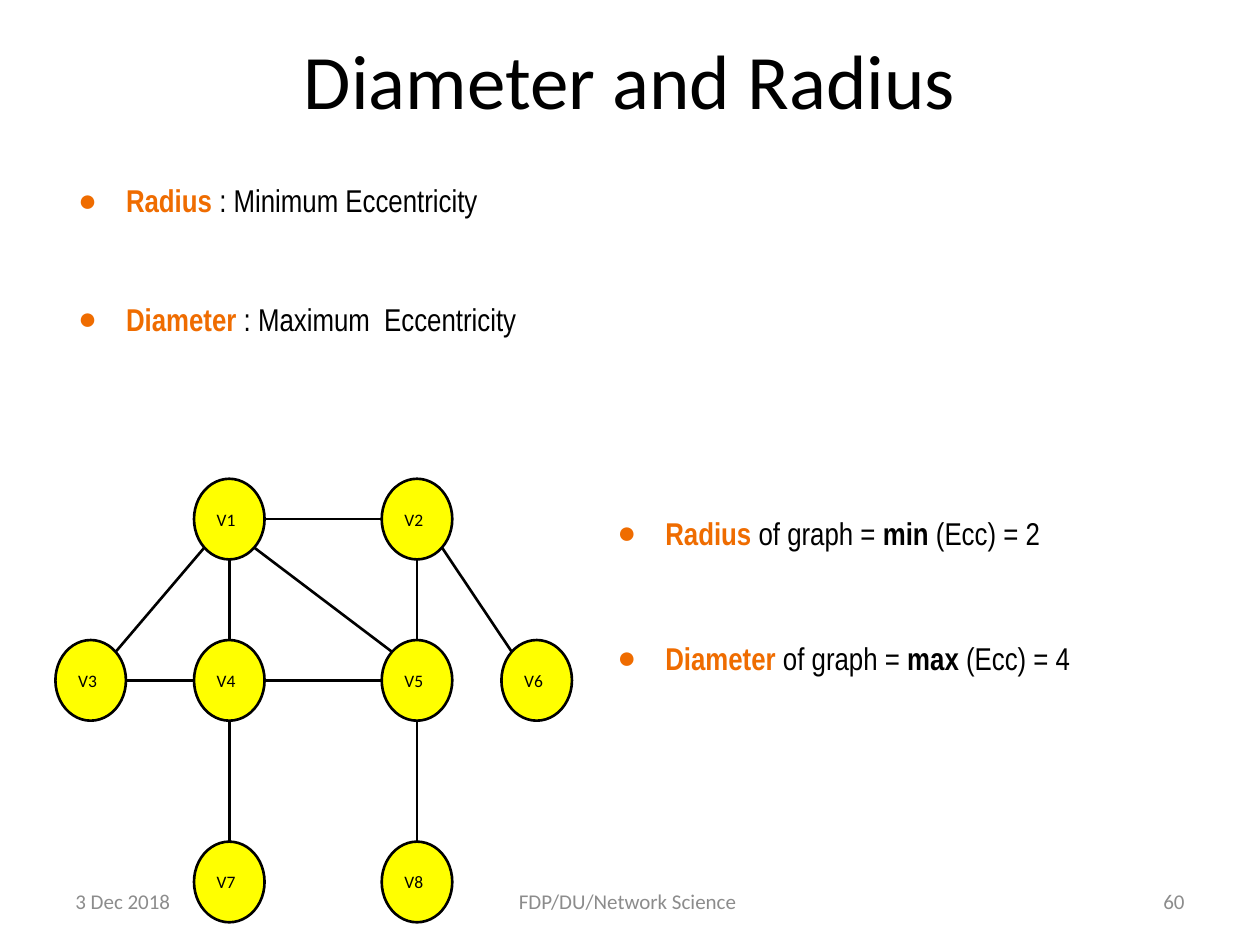
from math import sqrt

from lxml import etree
from pptx import Presentation
from pptx.dml.color import RGBColor
from pptx.enum.shapes import MSO_CONNECTOR, MSO_SHAPE
from pptx.enum.text import MSO_ANCHOR, MSO_AUTO_SIZE, PP_ALIGN
from pptx.oxml.ns import qn
from pptx.util import Inches, Pt

BLACK = RGBColor(0x00, 0x00, 0x00)
ORANGE = RGBColor(0xEF, 0x6C, 0x00)
YELLOW = RGBColor(0xFF, 0xFF, 0x00)
GRAY = RGBColor(0x8C, 0x8C, 0x8C)
LEFT, CENTER, RIGHT = PP_ALIGN.LEFT, PP_ALIGN.CENTER, PP_ALIGN.RIGHT
TOP, MIDDLE = MSO_ANCHOR.TOP, MSO_ANCHOR.MIDDLE
OVAL, STRAIGHT = MSO_SHAPE.OVAL, MSO_CONNECTOR.STRAIGHT

COMPARISON_LAYOUT = 4  # a title and four body placeholders
NODE_WIDTH, NODE_HEIGHT = 0.56, 0.64
LINE_WIDTH = Pt(1.5)

# Node positions within the graph box, in inches
COLUMNS = (0, 1.1, 2.59, 3.54)
ROWS = (0, 1.28, 2.88)
NODES = {  # name: (column, row)
    "V1": (1, 0), "V2": (2, 0),
    "V3": (0, 1), "V4": (1, 1), "V5": (2, 1), "V6": (3, 1),
    "V7": (1, 2), "V8": (2, 2),
}
EDGES = (
    ("V1", "V3"), ("V1", "V2"), ("V1", "V4"), ("V4", "V7"), ("V2", "V5"),
    ("V5", "V8"), ("V4", "V5"), ("V2", "V6"), ("V1", "V5"), ("V3", "V4"),
)

# Each statement: its box and its (text, bold, colour) runs
STATEMENTS = (
    ((0.4, 1.34, 7.5, 0.84),
     (("Radius ", True, ORANGE), (": Minimum Eccentricity", False, BLACK))),
    ((0.4, 2.28, 7.5, 0.84),
     (("Diameter ", True, ORANGE), (": Maximum  Eccentricity", False, BLACK))),
    ((4.68, 3.98, 5.24, 0.75),
     (("Radius ", True, ORANGE), ("of graph = ", False, BLACK),
      ("min ", True, BLACK), ("(Ecc) = 2", False, BLACK))),
    ((4.68, 4.97, 5.24, 0.75),
     (("Diameter", True, ORANGE), (" of graph =", False, BLACK),
      (" max ", True, BLACK), ("(Ecc) = 4", False, BLACK))),
)


def place(shape, box):
    shape.left, shape.top, shape.width, shape.height = map(Inches, box)


def write_text(shape, runs, size=18, font="Calibri", align=LEFT, anchor=MIDDLE,
               margin=0.1, vertical_margin=None):
    """Fill a shape with one paragraph of (text, bold, colour) runs."""
    frame = shape.text_frame
    frame.word_wrap = True
    frame.auto_size = MSO_AUTO_SIZE.NONE
    frame.vertical_anchor = anchor
    frame.margin_left = frame.margin_right = Inches(margin)
    vertical = margin if vertical_margin is None else vertical_margin
    frame.margin_top = frame.margin_bottom = Inches(vertical)
    paragraph = frame.paragraphs[0]
    paragraph.alignment = align
    paragraph.space_before = Pt(0)
    for text, bold, color in runs:
        run = paragraph.add_run()
        run.text = text
        run.font.name = font
        run.font.size = Pt(size)
        run.font.bold = bold
        run.font.color.rgb = color
    return paragraph


def add_bullet(paragraph, character="●", margin=0.5, indent=-0.38):
    properties = paragraph._p.get_or_add_pPr()
    properties.set("marL", str(Inches(margin)))
    properties.set("indent", str(Inches(indent)))
    bullet = etree.SubElement(properties, qn("a:buChar"))
    bullet.set("char", character)


def fill_title(title, box):
    place(title, box)
    write_text(title, [(" Diameter and Radius ", False, BLACK)], size=44,
               align=CENTER, vertical_margin=0.05)


def fill_statement(body, box, runs):
    place(body, box)
    add_bullet(write_text(body, runs, font="Arial Narrow", anchor=TOP))


def add_node(slide, name, center):
    x, y = center
    node = slide.shapes.add_shape(OVAL, 0, 0, 0, 0)
    place(node, (x - NODE_WIDTH / 2, y - NODE_HEIGHT / 2,
                 NODE_WIDTH, NODE_HEIGHT))
    node.shadow.inherit = False
    node.fill.solid()
    node.fill.fore_color.rgb = YELLOW
    node.line.color.rgb = BLACK
    node.line.width = LINE_WIDTH
    write_text(node, [(name, False, BLACK)], size=10)


def add_edge(slide, start, end):
    """Join two node centres, from rim to rim."""
    step_x = (end[0] > start[0]) - (end[0] < start[0])
    step_y = (end[1] > start[1]) - (end[1] < start[1])
    reach = 1 / sqrt(step_x ** 2 + step_y ** 2)
    offset_x = step_x * reach * NODE_WIDTH / 2
    offset_y = step_y * reach * NODE_HEIGHT / 2
    edge = slide.shapes.add_connector(
        STRAIGHT,
        Inches(start[0] + offset_x), Inches(start[1] + offset_y),
        Inches(end[0] - offset_x), Inches(end[1] - offset_y))
    edge.line.color.rgb = BLACK
    edge.line.width = LINE_WIDTH
    etree.SubElement(edge._element.spPr, qn("a:effectLst"))


def add_graph(slide, left, top):
    centers = {
        name: (left + COLUMNS[column] + NODE_WIDTH / 2,
               top + ROWS[row] + NODE_HEIGHT / 2)
        for name, (column, row) in NODES.items()
    }
    for name, center in centers.items():
        add_node(slide, name, center)
    for start, end in EDGES:
        add_edge(slide, centers[start], centers[end])


def add_footer(slide, left, top, width, height):
    side, middle = 2.33, 3.17
    parts = (
        ("3 Dec 2018", left, side, LEFT),
        ("FDP/DU/Network Science ", left + (width - middle) / 2, middle, CENTER),
        ("60", left + width - side, side, RIGHT),
    )
    for text, x, part_width, align in parts:
        box = slide.shapes.add_textbox(0, 0, 0, 0)
        place(box, (x, top, part_width, height))
        write_text(box, [(text, False, GRAY)], size=12, align=align,
                   vertical_margin=0.05)


def main():
    presentation = Presentation()
    presentation.slide_width = Inches(10)
    presentation.slide_height = Inches(7.5)
    layout = presentation.slide_layouts[COMPARISON_LAYOUT]
    slide = presentation.slides.add_slide(layout)

    # Title and statements
    title, *bodies = slide.placeholders
    fill_title(title, (0.5, 0, 9, 1.25))
    for body, (box, runs) in zip(bodies, STATEMENTS):
        fill_statement(body, box, runs)

    # Graph and footer
    add_graph(slide, 0.44, 3.8)
    add_footer(slide, 0.5, 6.95, 9, 0.4)
    presentation.save("out.pptx")


if __name__ == "__main__":
    main()
